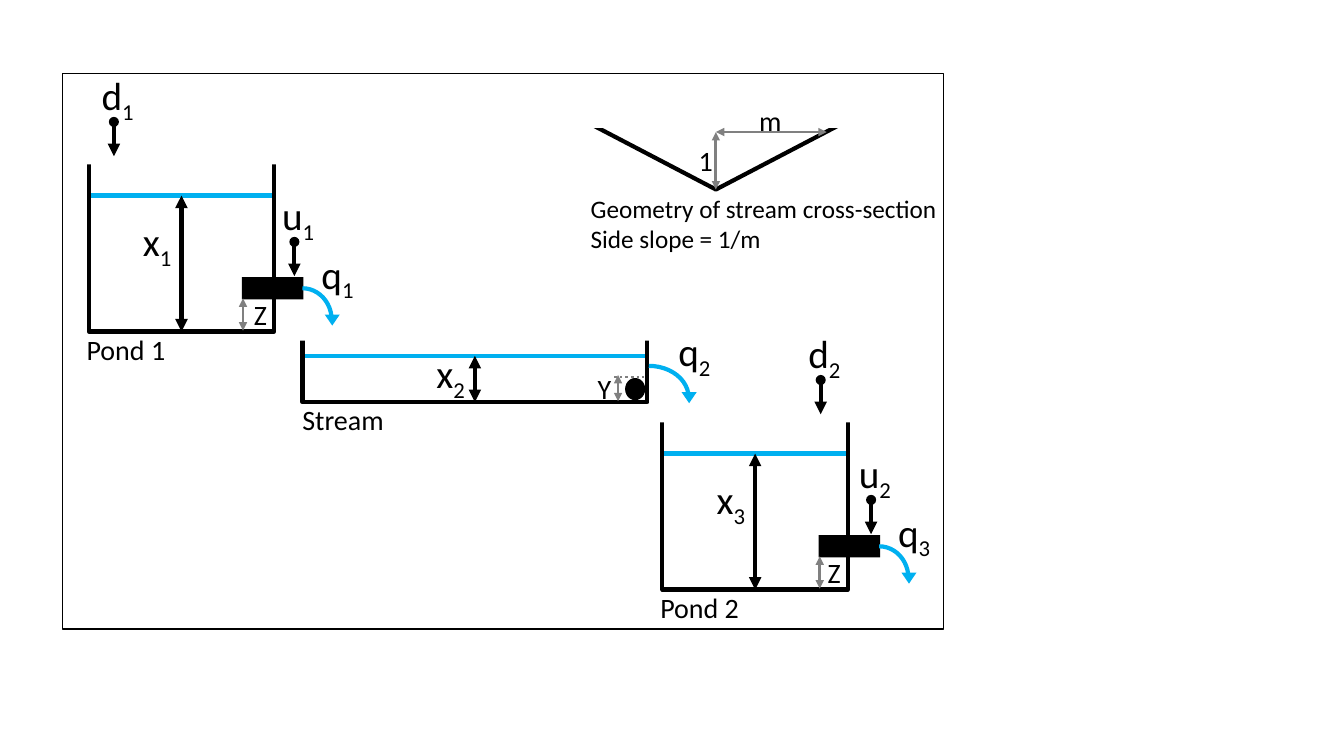
from pptx import Presentation
from pptx import util as u
from pptx.dml.color import RGBColor
from pptx.enum import dml, shapes, text
from pptx.oxml.ns import qn
from lxml import etree

COLORS = {"ink": "000000", "water": "00B0F0", "measure": "808080", "paper": "FFFFFF"}
FONT = "Calibri"
KIND = shapes.MSO_SHAPE


def rgb(name):
    return RGBColor.from_string(COLORS[name])


def add_shape(page, kind, x, y, w, h, fill=None, line=None, width=3, rotation=0):
    shape = page.shapes.add_shape(kind, *map(u.Inches, (x, y, w, h)))
    shape.shadow.inherit = False
    shape.rotation = rotation
    if fill:
        shape.fill.solid()
        shape.fill.fore_color.rgb = rgb(fill)
    else:
        shape.fill.background()
    if line:
        shape.line.color.rgb = rgb(line)
        shape.line.width = u.Pt(width)
    else:
        shape.line.fill.background()
    return shape


def add_line(page, x1, y1, x2, y2, color, width=3, heads=(), dash=None):
    line = page.shapes.add_connector(
        shapes.MSO_CONNECTOR.STRAIGHT, *map(u.Inches, (x1, y1, x2, y2)))
    line.line.color.rgb = rgb(color)
    line.line.width = u.Pt(width)
    if dash:
        line.line.dash_style = dash
    outline = line.line._get_or_add_ln()
    for end in heads:
        etree.SubElement(outline, qn("a:" + end), type="triangle")
    etree.SubElement(line._element.spPr, qn("a:effectLst"))
    return line


def add_measure(page, x1, y1, x2, y2, color="measure", width=2):
    return add_line(page, x1, y1, x2, y2, color, width, ("headEnd", "tailEnd"))


def add_text(page, x, y, w, h, lines, size=20):
    box = page.shapes.add_textbox(*map(u.Inches, (x, y, w, h)))
    frame = box.text_frame
    frame.word_wrap = False
    frame.auto_size = text.MSO_AUTO_SIZE.SHAPE_TO_FIT_TEXT
    for index, parts in enumerate(lines):
        para = frame.add_paragraph() if index else frame.paragraphs[0]
        for position, part in enumerate(parts):
            span = para.add_run()
            span.text = part
            span.font.name = FONT
            span.font.size = u.Pt(size)
            span.font.color.rgb = rgb("ink")
            if position:
                span._r.get_or_add_rPr().set("baseline", "-25000")


def add_symbol(page, x, y, letter, index):
    add_text(page, x, y, 0.54, 0.57, [(letter, index)], 28)


def add_input(page, x, y, letter, index):
    add_line(page, x, y, x, y + 0.34, "ink", heads=("tailEnd",))
    add_shape(page, KIND.OVAL, x - 0.05, y - 0.05, 0.1, 0.1, "ink")
    add_symbol(page, x - 0.22, y - 0.55, letter, index)


def add_outflow(page, x, y, w, index):
    add_shape(page, KIND.ARC, x, y, w, 0.63, line="water")
    add_shape(page, KIND.ISOSCELES_TRIANGLE, x + w - 0.07, y + 0.26, 0.15, 0.11,
              "water", rotation=180)
    add_symbol(page, x + w - 0.2, y - 0.43, "q", index)


def add_vessel(page, x, y, w, h, water, cover, index, label_drop):
    level = y + water
    middle = x + w / 2
    add_line(page, x, level, x + w, level, "water")
    vessel = add_shape(page, KIND.RECTANGLE, x, y, w, h, line="ink")
    add_shape(page, KIND.RECTANGLE, x - 0.08, y - 0.04, w + 0.16, cover, "paper")
    depth = add_measure(page, middle, level, middle, y + h, "ink", 3)
    depth.end_connect(vessel, 2)
    add_symbol(page, middle - 0.48, level + label_drop, "x", index)


def add_pond(page, x, y, number, depth_index, flow_index, rain_x, shift):
    add_vessel(page, x, y, 1.84, 1.7, 0.35, 0.08, depth_index, 0.17)
    outlet = x + shift
    add_shape(page, KIND.RECTANGLE, outlet + 1.52, y + 1.16, 0.61, 0.22, "ink")
    add_measure(page, outlet + 1.53, y + 1.37, outlet + 1.53, y + 1.69)
    add_text(page, x + 1.54, y + 1.31, 0.33, 0.44, [("Z",)])
    add_outflow(page, outlet + 1.83, y + 1.27, 0.58, flow_index)
    add_input(page, x + rain_x, y - 0.38, "d", number)
    add_input(page, outlet + 2.04, y + 0.81, "u", number)
    add_text(page, x - 0.12, y + 1.66, 0.99, 0.44, [(f"Pond {number}",)])


def add_stream(page, x, y):
    add_vessel(page, x, y, 3.42, 0.65, 0.19, 0.08, "2", -0.11)
    add_outflow(page, x + 3.04, y + 0.29, 0.79, "2")
    add_text(page, x + 2.83, y + 0.3, 0.34, 0.44, [("Y",)])
    add_shape(page, KIND.OVAL, x + 3.2, y + 0.41, 0.2, 0.22, "ink")
    add_measure(page, x + 3.13, y + 0.38, x + 3.13, y + 0.64, width=1)
    add_line(page, x + 3.09, y + 0.4, x + 3.39, y + 0.4, "measure", 2,
             dash=dml.MSO_LINE.ROUND_DOT)
    add_text(page, x - 0.1, y + 0.6, 1.02, 0.44, [("Stream",)])


def add_cross_section(page, x, y):
    add_shape(page, KIND.ISOSCELES_TRIANGLE, x, y, 2.68, 0.7, line="ink", rotation=180)
    add_shape(page, KIND.RECTANGLE, x - 0.22, y - 0.13, 3.13, 0.22, "paper")
    add_measure(page, x + 1.34, y + 0.13, x + 1.34, y + 0.7)
    add_measure(page, x + 1.34, y + 0.13, x + 2.44, y + 0.13)
    add_text(page, x + 1.07, y + 0.19, 0.34, 0.44, [("1",)])
    add_text(page, x + 1.67, y - 0.2, 0.43, 0.44, [("m",)])
    add_text(page, x, y + 0.69, 3.67, 0.71,
             [("Geometry of stream cross-section",), ("Side slope = 1/m",)], 18)


def main():
    deck = Presentation()
    deck.slide_width = u.Inches(13.33)
    deck.slide_height = u.Inches(7.5)
    page = deck.slides.add_slide(deck.slide_layouts[6])
    add_shape(page, KIND.RECTANGLE, 0.62, 0.73, 8.74, 5.51, line="ink", width=1)
    add_pond(page, 0.88, 1.59, "1", "1", "1", 0.25, 0)
    add_stream(page, 3, 3.34)
    add_pond(page, 6.57, 4.15, "2", "3", "3", 1.57, 0.03)
    add_cross_section(page, 5.76, 1.18)
    deck.save("out.pptx")


if __name__ == "__main__":
    main()
